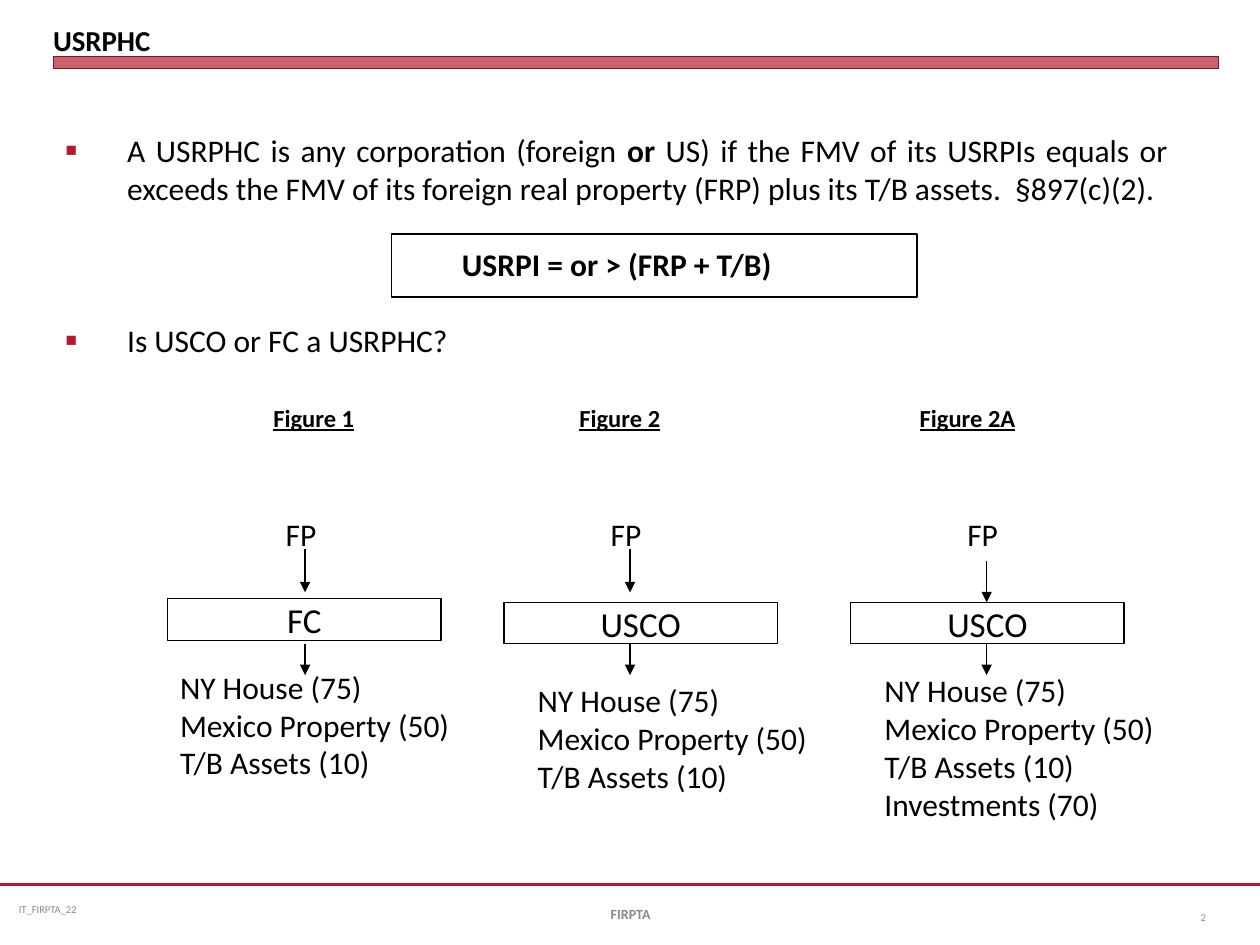
import dataclasses

import lxml.etree
import pptx
import pptx.dml.color
import pptx.enum.shapes
import pptx.enum.text
import pptx.oxml
import pptx.oxml.ns
import pptx.util

Cm = pptx.util.Cm
Pt = pptx.util.Pt
Align = pptx.enum.text.PP_ALIGN
Anchor = pptx.enum.text.MSO_ANCHOR
qn = pptx.oxml.ns.qn


@dataclasses.dataclass(frozen=True)
class Theme:
    font: str = "Calibri"
    black: str = "000000"
    red: str = "B01C2E"
    dark_red: str = "821522"
    grey: str = "898989"
    title: float = 16.5
    body: float = 18
    entity: float = 20
    label: float = 14
    footer: float = 8
    small: float = 6


@dataclasses.dataclass(frozen=True)
class Figure:
    label: str
    label_left: float
    entity: str
    left: float
    top: float
    arrow_left: float
    arrow_top: float
    arrow_end: float
    assets_left: float
    assets_top: float
    assets: tuple


THEME = Theme()
ASSETS = ("NY House (75)", "Mexico Property (50)", "T/B Assets (10)")
FIGURES = (
    Figure("Figure 1", 2.13, "FC", 3.38, 12.07, 2.77, -1, -0.13, 0, 1.27, ASSETS),
    Figure("Figure 2", 1.52, "USCO", 10.16, 12.14, 2.54, -1.07, -0.2, 0.43, 1.47, ASSETS),
    Figure("Figure 2A", 1.39, "USCO", 17.15, 12.14, 2.74, -0.84, 0, 0.43, 1.27,
           ASSETS + ("Investments (70)",)),
)


def color(value):
    return pptx.dml.color.RGBColor.from_string(value)


def format_paragraph(paragraph, size, bold=False, ink=THEME.black, align=Align.LEFT):
    paragraph.alignment = align
    font = paragraph.font
    font.name = THEME.font
    font.size = Pt(size)
    font.bold = bold
    font.color.rgb = color(ink)


def add_text(slide, box, lines, size, wrap=True, anchor=Anchor.TOP, **style):
    shape = slide.shapes.add_textbox(*map(Cm, box))
    frame = shape.text_frame
    frame.word_wrap = wrap
    frame.vertical_anchor = anchor
    frame.text = "\n".join(lines)
    for paragraph in frame.paragraphs:
        format_paragraph(paragraph, size, **style)
    return shape


def add_box(slide, box, line=THEME.black, width=0.75):
    shape = slide.shapes.add_shape(pptx.enum.shapes.MSO_SHAPE.RECTANGLE, *map(Cm, box))
    shape.shadow.inherit = False
    shape.fill.background()
    shape.line.color.rgb = color(line)
    shape.line.width = Pt(width)
    return shape


def add_line(slide, start, end, ink=THEME.black, width=0.75, arrow=False):
    connector = slide.shapes.add_connector(
        pptx.enum.shapes.MSO_CONNECTOR.STRAIGHT, *map(Cm, start + end))
    connector.line.color.rgb = color(ink)
    connector.line.width = Pt(width)
    properties = connector._element.spPr
    if arrow:
        lxml.etree.SubElement(properties.find(qn("a:ln")), qn("a:tailEnd"), type="triangle")
    lxml.etree.SubElement(properties, qn("a:effectLst"))


def place(shape, box):
    shape.left, shape.top, shape.width, shape.height = map(Cm, box)
    shape.text_frame.auto_size = pptx.enum.text.MSO_AUTO_SIZE.NONE


def set_bullet(paragraph, shown):
    properties = paragraph._p.get_or_add_pPr()
    indent = Cm(1.24) if shown else 0
    properties.set("marL", str(indent))
    properties.set("indent", str(-indent))
    namespace = pptx.oxml.ns.nsdecls("a")
    parts = (f'<a:buClr {namespace}><a:srgbClr val="{THEME.red}"/></a:buClr>',
             f'<a:buSzPct {namespace} val="60000"/>',
             f'<a:buChar {namespace} char="■"/>') if shown else (f"<a:buNone {namespace}/>",)
    defaults = properties.find(qn("a:defRPr"))
    for part in parts:
        defaults.addprevious(pptx.oxml.parse_xml(part))


def build_header(slide, left, top, width):
    title = slide.shapes.title
    place(title, (left, top, width, 1.02))
    frame = title.text_frame
    frame.margin_left = frame.margin_right = frame.margin_top = frame.margin_bottom = 0
    frame.vertical_anchor = Anchor.BOTTOM
    frame.text = "USRPHC"
    format_paragraph(frame.paragraphs[0], THEME.title, bold=True)
    bar = add_box(slide, (left, top + 1.01, width, 0.25), THEME.dark_red, 0.5)
    bar.fill.solid()
    bar.fill.fore_color.rgb = color(THEME.red)
    fill = bar._element.spPr.find(qn("a:solidFill"))
    lxml.etree.SubElement(fill[0], qn("a:alpha"), val="69000")


def build_definition(slide, left, top, width, height):
    add_box(slide, (left + 6.83, top + 2.21, 10.59, 1.27))
    body = slide.placeholders[1]
    place(body, (left, top, width, height))
    frame = body.text_frame
    frame.vertical_anchor = Anchor.TOP
    rows = (
        (("A USRPHC is any corporation (foreign ", "or ",
          "US) if the FMV of its USRPIs equals or exceeds the FMV of its foreign real "
          "property (FRP) plus its T/B assets.  §897(c)(2)."), Align.JUSTIFY),
        (("USRPI = or > (FRP + T/B)",), Align.CENTER),
        (("Is USCO or FC a USRPHC?",), Align.JUSTIFY),
    )
    for index, (texts, align) in enumerate(rows):
        paragraph = frame.add_paragraph() if index else frame.paragraphs[0]
        centred = align == Align.CENTER
        format_paragraph(paragraph, THEME.body, bold=centred, align=align)
        paragraph.space_before = Pt(22 if index else 0)
        set_bullet(paragraph, not centred)
        for text in texts:
            run = paragraph.add_run()
            run.text = text
            if text == "or ":
                run.font.bold = True


def build_figure(slide, figure):
    left, top = figure.left, figure.top
    arrow = left + figure.arrow_left
    label = add_text(slide, (left + figure.label_left - 0.25, 8, 3, 0.86),
                     [figure.label], THEME.label, bold=True)
    label.text_frame.paragraphs[0].font.underline = True
    add_text(slide, (arrow - 0.64, 10.26, 1.14, 1.02), ["FP"], THEME.body, wrap=False)
    entity = add_box(slide, (left, top, 5.51, 0.84))
    frame = entity.text_frame
    frame.word_wrap = False
    frame.vertical_anchor = Anchor.MIDDLE
    frame.text = figure.entity
    format_paragraph(frame.paragraphs[0], THEME.entity, align=Align.CENTER)
    add_line(slide, (arrow, top + figure.arrow_top), (arrow, top + figure.arrow_end), arrow=True)
    add_line(slide, (arrow, 12.98), (arrow, 13.61), arrow=True)
    add_text(slide, (left + figure.assets_left, top + figure.assets_top, 6.02,
                     0.25 + 0.76 * len(figure.assets)),
             figure.assets, THEME.body, wrap=False)


def build_footer(slide, top, width):
    add_line(slide, (0, top), (width, top), THEME.red, 1.25)
    style = {"anchor": Anchor.MIDDLE, "ink": THEME.grey}
    code = add_text(slide, (0.2, top, 6.55, 1.02), ["IT_FIRPTA_22"], THEME.small, **style)
    code.text_frame.margin_left = Cm(0.18)
    add_text(slide, (8.69, top + 0.08, 8.05, 1.02), ["FIRPTA"], THEME.footer,
             bold=True, align=Align.CENTER, **style)
    add_text(slide, (23.29, top + 0.15, 1.27, 1.02), ["2"], THEME.small,
             align=Align.RIGHT, **style)


presentation = pptx.Presentation()
presentation.slide_width = Cm(25.4)
presentation.slide_height = Cm(19.05)
main_slide = presentation.slides.add_slide(presentation.slide_layouts[1])
build_header(main_slide, 1.07, 0.13, 23.5)
build_definition(main_slide, 1.07, 2.51, 22.73, 5.2)
for item in FIGURES:
    build_figure(main_slide, item)
build_footer(main_slide, 17.83, 25.4)
presentation.save("out.pptx")
